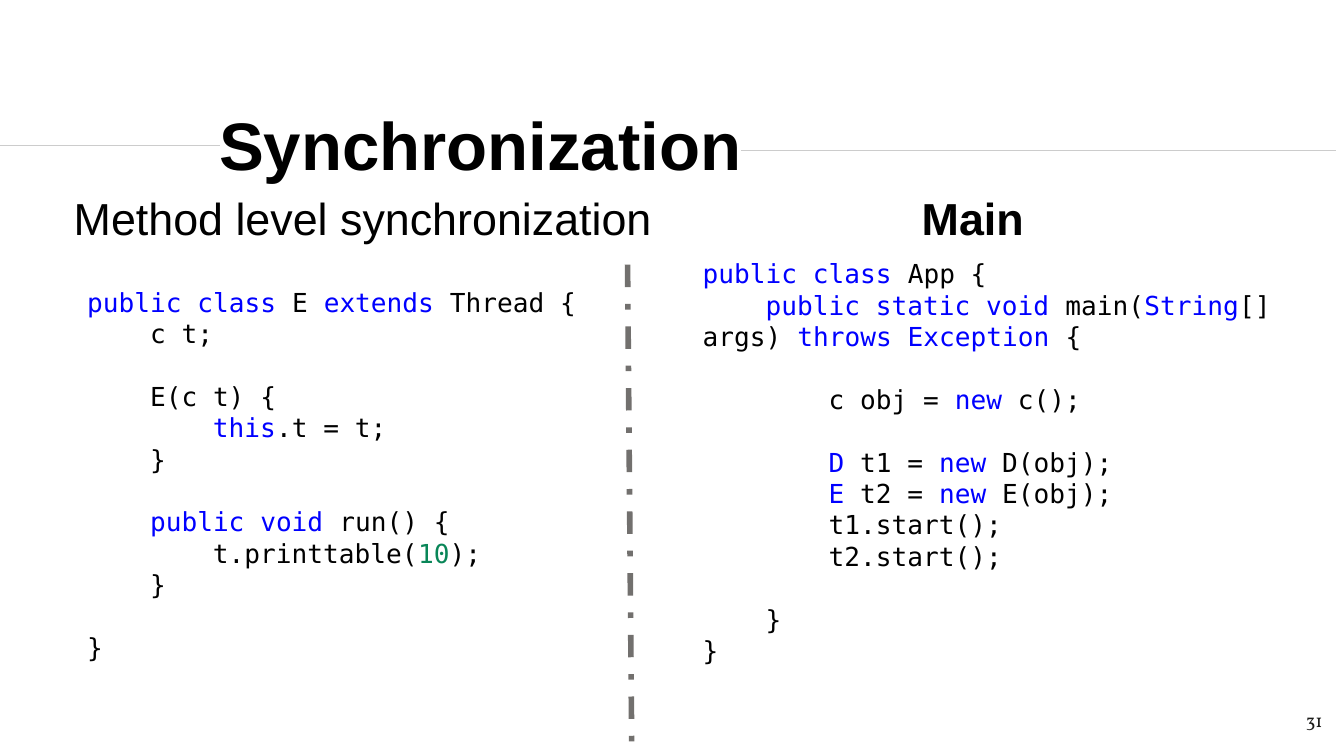
import pptx
import pptx.dml.color
import pptx.enum.dml
import pptx.enum.shapes
import pptx.enum.text
import pptx.oxml
import pptx.util

Pt = pptx.util.Pt
ANCHOR = pptx.enum.text.MSO_ANCHOR
ALIGN = pptx.enum.text.PP_ALIGN
AUTO_SIZE = pptx.enum.text.MSO_AUTO_SIZE
DASH = pptx.enum.dml.MSO_LINE


def rgb(value):
    return pptx.dml.color.RGBColor.from_string(value)


def write(para, text, size=14, font="DejaVu Sans Mono", color="000000", bold=False):
    span = para.add_run()
    span.text = text
    span.font.size = Pt(size)
    span.font.name = font
    span.font.color.rgb = rgb(color)
    span.font.bold = bold


deck = pptx.Presentation()
deck.slide_width, deck.slide_height = Pt(720), Pt(405)
page = deck.slides.add_slide(deck.slide_layouts[5])

# Rules on either side of the title text and the divider between the code columns
rules = [
    (0, 77.8, 118, 77.8, "CCCCCC", 0.75, None),
    (397, 80.8, 715.7, 80.8, "CCCCCC", 0.75, None),
    (336.2, 141.8, 338.4, 397.4, "72706E", 3, DASH.DASH_DOT),
]
for x1, y1, x2, y2, color, width, dash in rules:
    rule = page.shapes.add_connector(
        pptx.enum.shapes.MSO_CONNECTOR.STRAIGHT, Pt(x1), Pt(y1), Pt(x2), Pt(y2))
    rule.line.color.rgb = rgb(color)
    rule.line.width = Pt(width)
    rule.line.dash_style = dash
    rule._element.spPr.append(pptx.oxml.parse_xml(
        '<a:effectLst xmlns:a="http://schemas.openxmlformats.org/drawingml/2006/main"/>'))

# Title
title = page.shapes.title
title.left, title.top, title.width, title.height = Pt(110.2), Pt(59.8), Pt(305.3), Pt(34.6)
frame = title.text_frame
frame.margin_left = frame.margin_right = frame.margin_top = frame.margin_bottom = Pt(7.2)
frame.vertical_anchor = ANCHOR.MIDDLE
frame.auto_size = AUTO_SIZE.NONE
frame.paragraphs[0].alignment = ALIGN.LEFT
write(frame.paragraphs[0], "Synchronization", size=36, font="Arial", bold=True)

# Column headings and page number
labels = [
    (32.4, 98.6, 359.3, 36, 3.6, ALIGN.LEFT, "Method level synchronization",
     dict(size=24, font="Arial")),
    (486.7, 98.6, 74.2, 36, 3.6, ALIGN.LEFT, "Main",
     dict(size=24, font="Arial", bold=True)),
    (672.5, 373.7, 43.2, 31, 7.2, ALIGN.RIGHT, "31",
     dict(size=10, font="Vollkorn", color="1D1D1B")),
]
for left, top, width, height, margin, align, text, style in labels:
    box = page.shapes.add_textbox(Pt(left), Pt(top), Pt(width), Pt(height))
    frame = box.text_frame
    frame.word_wrap = True
    frame.margin_top = frame.margin_bottom = Pt(margin)
    frame.paragraphs[0].alignment = align
    write(frame.paragraphs[0], text, **style)

# Code: (blank lines before, indent level, text); pieces between bars are highlighted
thread_code = [
    (0, 0, "|public class| E |extends| Thread {"),
    (0, 1, "c t;"),
    (1, 1, "E(c t) {"),
    (0, 2, "|this|.t = t;"),
    (0, 1, "}"),
    (1, 1, "|public void| run() {"),
    (0, 2, "t.printtable(|10|);"),
    (0, 1, "}"),
    (1, 0, "}"),
]
main_code = [
    (0, 0, "|public class| App {"),
    (0, 1, "|public static void| main(|String|[] args) |throws Exception| {"),
    (1, 2, "c obj = |new| c();"),
    (1, 2, "|D| t1 = |new| D(obj);"),
    (0, 2, "|E| t2 = |new| E(obj);"),
    (0, 2, "t1.start();"),
    (0, 2, "t2.start();"),
    (1, 1, "}"),
    (0, 0, "}"),
]
LINE_HEIGHT = 16.8
INDENT = 33.72  # four characters
for left, top, height, code in [(39.6, 149.8, 211, thread_code),
                                (369.4, 134.6, 227.5, main_code)]:
    box = page.shapes.add_textbox(Pt(left), Pt(top), Pt(360), Pt(height))
    frame = box.text_frame
    frame.word_wrap = True
    for index, (blanks, level, text) in enumerate(code):
        para = frame.add_paragraph() if index else frame.paragraphs[0]
        para.space_before = Pt(blanks * LINE_HEIGHT)
        # First-line indent, so that wrapped code returns to the margin
        para._p.get_or_add_pPr().set("indent", str(Pt(level * INDENT)))
        for position, piece in enumerate(text.split("|")):
            if piece:
                highlight = "098658" if piece.isdigit() else "0000FF"
                write(para, piece, color=highlight if position % 2 else "000000")

deck.save("out.pptx")
